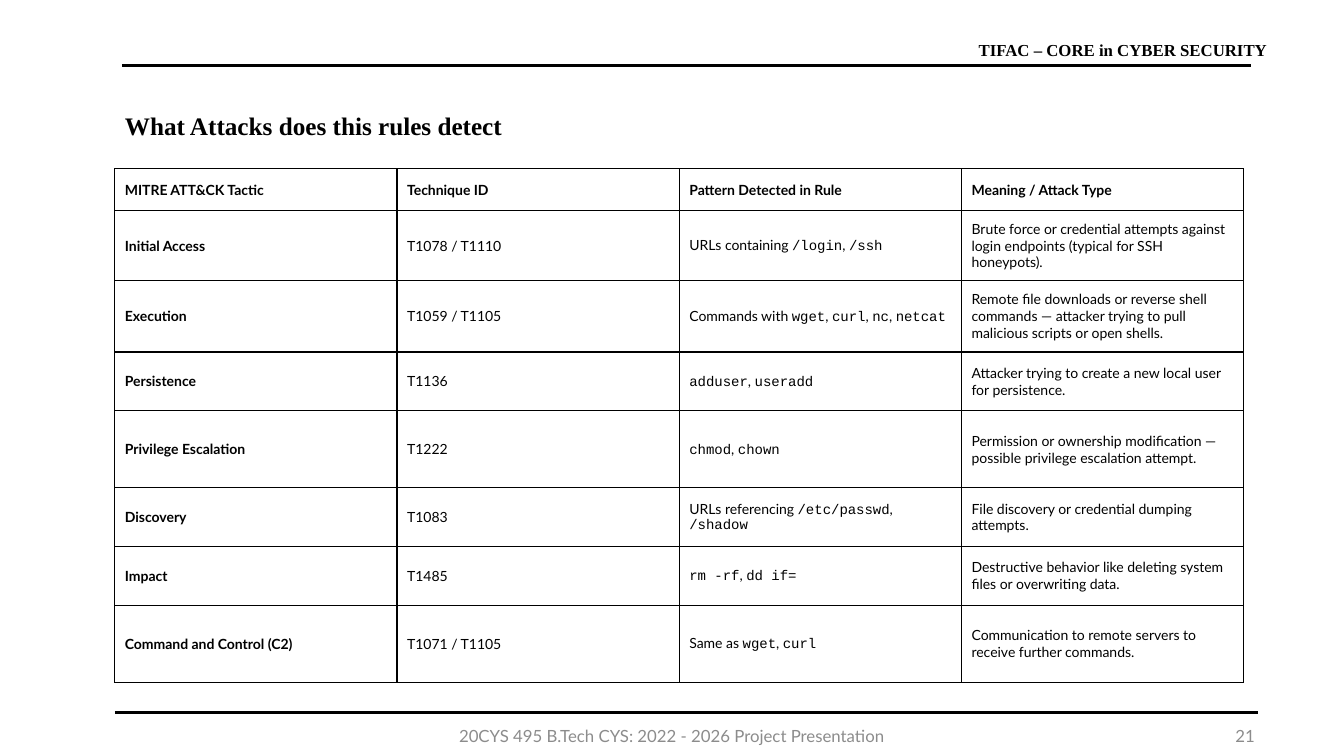
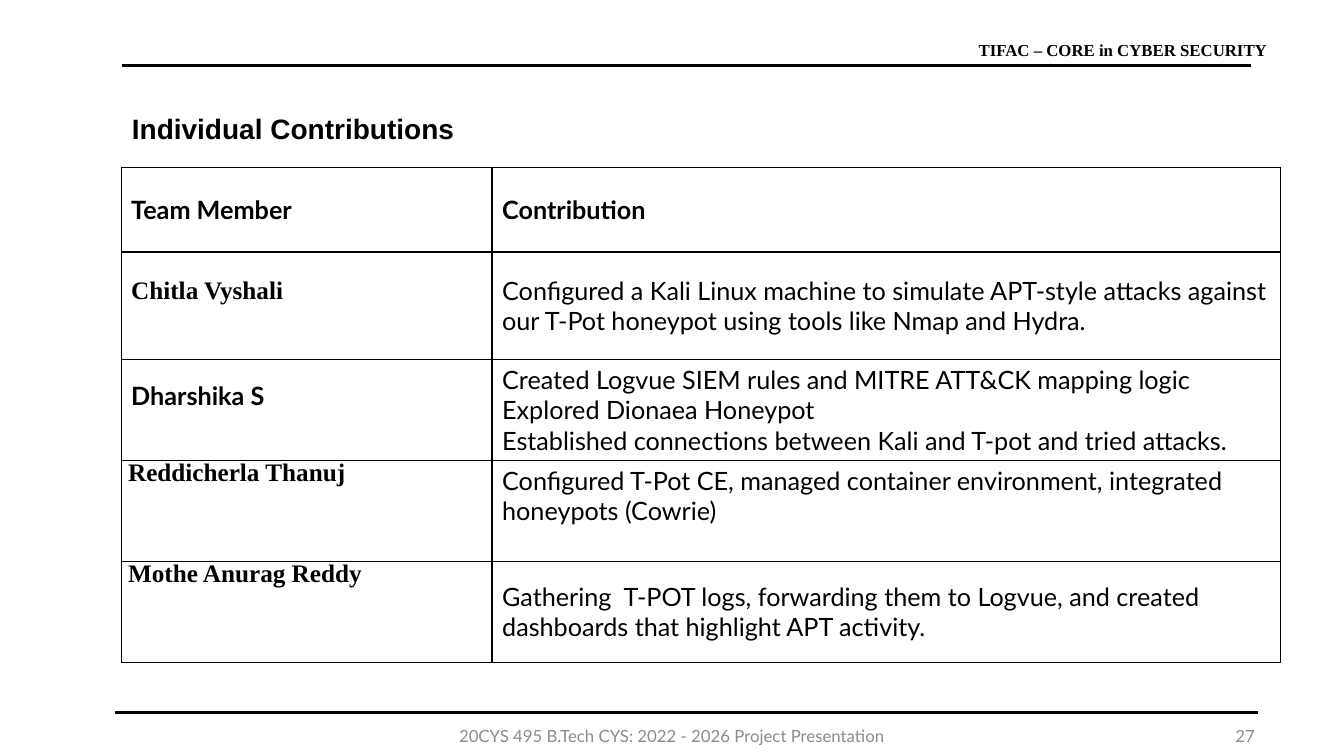
from lxml import etree
from pptx import Presentation
from pptx.dml.color import RGBColor
from pptx.enum.shapes import MSO_CONNECTOR
from pptx.enum.text import MSO_ANCHOR, MSO_AUTO_SIZE, PP_ALIGN
from pptx.oxml.ns import qn
from pptx.util import Pt

STRAIGHT = MSO_CONNECTOR.STRAIGHT
TOP, MIDDLE = MSO_ANCHOR.TOP, MSO_ANCHOR.MIDDLE
LEFT, CENTER, RIGHT = PP_ALIGN.LEFT, PP_ALIGN.CENTER, PP_ALIGN.RIGHT
NO_AUTOFIT = MSO_AUTO_SIZE.NONE
TITLE_ONLY_LAYOUT = 5

BLACK, WHITE, GRAY = "000000", "FFFFFF", "8C8C8C"
SANS, SERIF, TITLE_SANS, CODE = "Lato", "Times New Roman", "Arial", "Courier New"

HEADER = "TIFAC – CORE in CYBER SECURITY"
FOOTER = "20CYS 495 B.Tech CYS: 2022 - 2026 Project Presentation"

ATTACKS = [
    ("MITRE ATT&CK Tactic", "Technique ID", "Pattern Detected in Rule", "Meaning / Attack Type"),
    ("Initial Access", "T1078 / T1110", "URLs containing `/login`, `/ssh`",
     "Brute force or credential attempts against login endpoints (typical for SSH honeypots)."),
    ("Execution", "T1059 / T1105", "Commands with `wget`, `curl`, `nc`, `netcat`",
     "Remote file downloads or reverse shell commands — attacker trying to pull "
     "malicious scripts or open shells."),
    ("Persistence", "T1136", "`adduser`, `useradd`",
     "Attacker trying to create a new local user for persistence."),
    ("Privilege Escalation", "T1222", "`chmod`, `chown`",
     "Permission or ownership modification — possible privilege escalation attempt."),
    ("Discovery", "T1083", "URLs referencing `/etc/passwd`, `/shadow`",
     "File discovery or credential dumping attempts."),
    ("Impact", "T1485", "`rm -rf`, `dd if=`",
     "Destructive behavior like deleting system files or overwriting data."),
    ("Command and Control (C2)", "T1071 / T1105", "Same as `wget`, `curl`",
     "Communication to remote servers to receive further commands."),
]

CONTRIBUTIONS = [
    ("Team Member", "Contribution"),
    ("Chitla Vyshali",
     "Configured a Kali Linux machine to simulate APT-style attacks against our T-Pot "
     "honeypot using tools like Nmap and Hydra."),
    ("Dharshika S",
     "Created Logvue SIEM rules and MITRE ATT&CK mapping logic\n"
     "Explored Dionaea Honeypot\n"
     "Established connections between Kali and T-pot and tried attacks."),
    ("Reddicherla Thanuj",
     "Configured T-Pot CE, managed container environment, integrated honeypots (Cowrie)"),
    ("Mothe Anurag Reddy",
     "Gathering  T-POT logs, forwarding them to Logvue, and created dashboards that "
     "highlight APT activity."),
]


def rgb(color):
    return RGBColor.from_string(color)


def write(text_frame, text, size, font=SANS, color=BLACK, bold=False, align=LEFT):
    """Fill a text frame; text between backticks is set in the code font."""
    text_frame.text = text
    for paragraph in text_frame.paragraphs:
        pieces = paragraph.text.split("`")
        paragraph.clear()
        paragraph.alignment = align
        for index, piece in enumerate(pieces):
            if piece:
                run = paragraph.add_run()
                run.text = piece
                run.font.name = CODE if index % 2 else font
                run.font.size = Pt(size)
                run.font.bold = bold
                run.font.color.rgb = rgb(color)


def add_borders(cell, color=BLACK, width=1):
    properties = cell._tc.get_or_add_tcPr()
    for side in ("a:lnL", "a:lnR", "a:lnT", "a:lnB"):
        line = etree.SubElement(properties, qn(side), w=str(Pt(width)))
        fill = etree.SubElement(line, qn("a:solidFill"))
        etree.SubElement(fill, qn("a:srgbClr"), val=color)


class Deck:
    def __init__(self):
        self.presentation = Presentation()
        self.presentation.slide_width = Pt(960)
        self.presentation.slide_height = Pt(540)
        self.slide = None

    def add_slide(self, number):
        """Start a slide with the shared header, rules and footer."""
        layout = self.presentation.slide_layouts[TITLE_ONLY_LAYOUT]
        self.slide = self.presentation.slides.add_slide(layout)
        self.rule(87, 893.5, 47)
        self.rule(82, 898.5, 509)
        self.text(HEADER, 692, 25, 222.5, 22, wrap=False, anchor=TOP, font=SERIF, bold=True)
        self.text(str(number), 687.5, 511, 216, 29, color=GRAY, align=RIGHT)
        self.text(FOOTER, 318, 511, 324, 29, color=GRAY, align=CENTER)

    def rule(self, left, right, top):
        line = self.slide.shapes.add_connector(STRAIGHT, Pt(left), Pt(top), Pt(right), Pt(top))
        line.line.color.rgb = rgb(BLACK)
        line.line.width = Pt(2)
        etree.SubElement(line._element.spPr, qn("a:effectLst"))

    def text(self, text, left, top, width, height, wrap=True, anchor=MIDDLE, **style):
        box = self.slide.shapes.add_textbox(Pt(left), Pt(top), Pt(width), Pt(height))
        box.text_frame.word_wrap = wrap
        box.text_frame.vertical_anchor = anchor
        write(box.text_frame, text, 12, **style)

    def title(self, text, left, height, size, font):
        title = self.slide.shapes.title
        title.left, title.top, title.width, title.height = Pt(left), Pt(75), Pt(757), Pt(height)
        title.text_frame.auto_size = NO_AUTOFIT
        title.text_frame.vertical_anchor = MIDDLE
        write(title.text_frame, text, size, font, bold=True)

    def table(self, rows, left, top, widths, heights, size):
        """Add a ruled table whose first row and column are bold."""
        frame = self.slide.shapes.add_table(len(rows), len(widths), Pt(left), Pt(top),
                                            Pt(sum(widths)), Pt(sum(heights)))
        table = frame.table
        table.first_row = table.horz_banding = False
        for column, width in zip(table.columns, widths):
            column.width = Pt(width)
        for row, height in zip(table.rows, heights):
            row.height = Pt(height)
        for row_index, row in enumerate(rows):
            for column_index, text in enumerate(row):
                cell = table.cell(row_index, column_index)
                add_borders(cell)
                cell.fill.solid()
                cell.fill.fore_color.rgb = rgb(WHITE)
                cell.vertical_anchor = MIDDLE
                write(cell.text_frame, text, size, bold=0 in (row_index, column_index))
        return table


def add_attacks(deck):
    deck.add_slide(21)
    deck.title("What Attacks does this rules detect", 82, 29, 18, SERIF)
    deck.table(ATTACKS, 82, 120.5, [201.6] * 4, [30, 50, 51, 42, 55, 42, 42, 55], 10)


def add_contributions(deck):
    deck.add_slide(27)
    deck.title("Individual Contributions", 87, 33, 20, TITLE_SANS)
    table = deck.table(CONTRIBUTIONS, 86.5, 119.5, [265, 563], [60.5, 77, 72, 72, 72], 18)
    for row in (1, 3, 4):
        write(table.cell(row, 0).text_frame, CONTRIBUTIONS[row][0], 18, SERIF, bold=True)
    for row, column in ((1, 0), (2, 0), (3, 1)):
        table.cell(row, column).margin_bottom = Pt(25)
    for row in (3, 4):
        cell = table.cell(row, 0)
        cell.vertical_anchor = TOP
        cell.margin_left = cell.margin_right = Pt(5)
        cell.margin_top = cell.margin_bottom = Pt(3)
        cell.text_frame.paragraphs[0].line_spacing = Pt(15.8)


def main():
    deck = Deck()
    add_attacks(deck)
    add_contributions(deck)
    deck.presentation.save("out.pptx")


if __name__ == "__main__":
    main()
